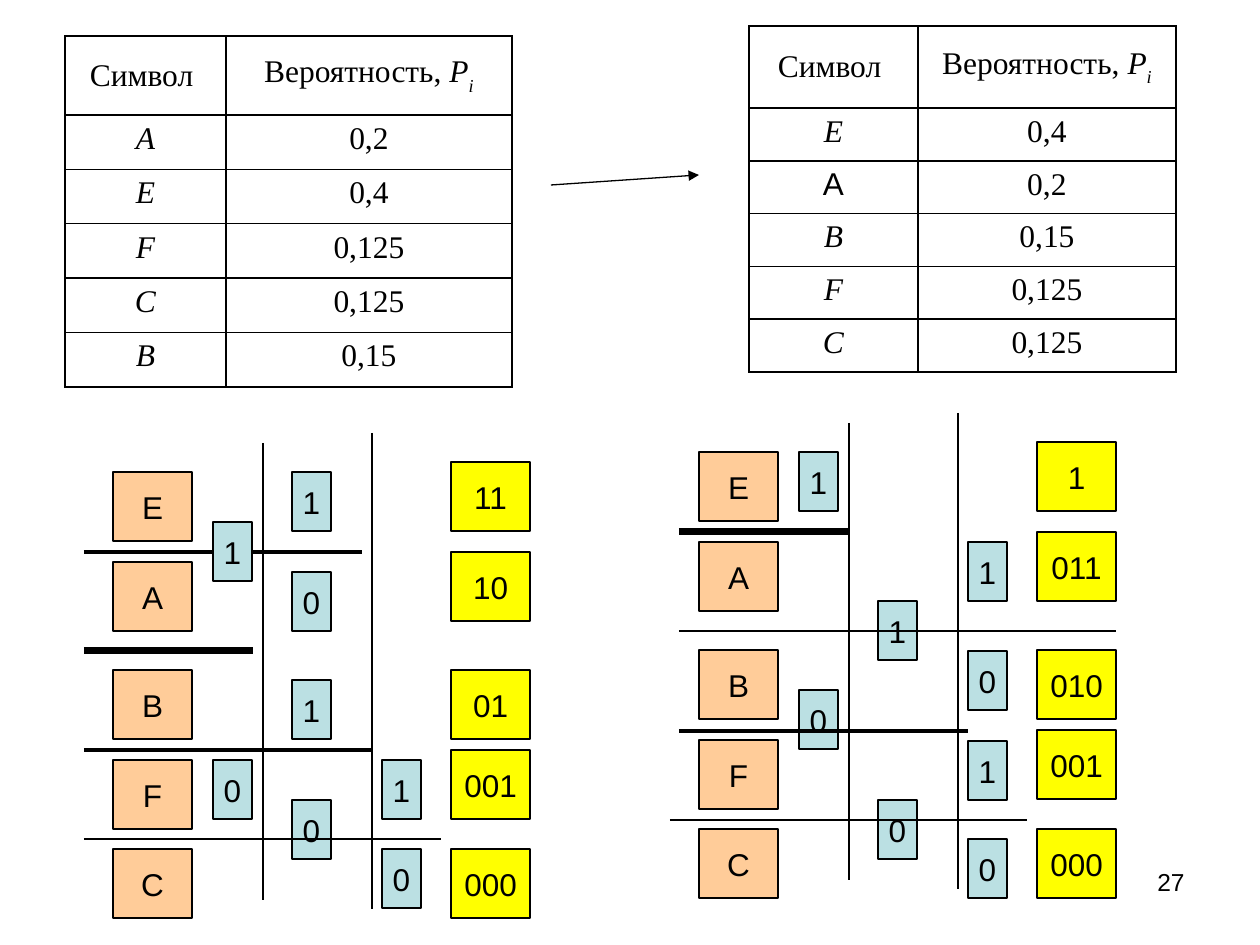
import lxml.etree
import pptx
import pptx.dml.color
import pptx.enum.shapes
import pptx.enum.text
import pptx.oxml.ns
import pptx.util

PX = 914400 / 126
BLACK, ORANGE, BLUE, YELLOW = "000000", "FFCC99", "BBE0E3", "FFFF00"
SERIF, SANS = "Times New Roman", "Arial"
CENTER = pptx.enum.text.PP_ALIGN.CENTER
MIDDLE = pptx.enum.text.MSO_ANCHOR.MIDDLE
SYMBOL_TOPS = (39, 129, 237, 327, 416)
CODE_TOPS = (29, 119, 237, 317, 416)
BIT_LEFTS = (129, 208, 298)


def px(length):
    """Turn pixels into EMU."""
    return pptx.util.Emu(round(length * PX))


def color(hex_value):
    """Turn a hex string into a colour."""
    return pptx.dml.color.RGBColor.from_string(hex_value)


def add_element(parent, tag, **attributes):
    """Append a DrawingML element to a parent."""
    name = pptx.oxml.ns.qn("a:" + tag)
    return lxml.etree.SubElement(parent, name, attributes)


def format_run(run, size=18, font=SANS, italic=False):
    """Set the font of a run."""
    run.font.size = pptx.util.Pt(size)
    run.font.name = font
    run.font.italic = italic
    run.font.color.rgb = color(BLACK)


def add_line(slide, start, end, width=0.75, arrow=False):
    """Draw a black straight line, with an arrowhead if asked."""
    kind = pptx.enum.shapes.MSO_CONNECTOR.STRAIGHT
    line = slide.shapes.add_connector(kind, *map(px, start + end))
    line.line.color.rgb = color(BLACK)
    line.line.width = pptx.util.Pt(width)
    if arrow:
        add_element(line.line._get_or_add_ln(), "tailEnd", type="triangle")
    add_element(line._element.spPr, "effectLst")


def add_box(slide, left, top, width, height, text, fill):
    """Draw an outlined rectangle with centred text."""
    kind = pptx.enum.shapes.MSO_SHAPE.RECTANGLE
    shape = slide.shapes.add_shape(kind, *map(px, (left, top, width, height)))
    shape.shadow.inherit = False
    shape.fill.solid()
    shape.fill.fore_color.rgb = color(fill)
    shape.line.color.rgb = color(BLACK)
    shape.line.width = pptx.util.Pt(0.75)
    frame = shape.text_frame
    frame.word_wrap = False
    frame.vertical_anchor = MIDDLE
    frame.text = text
    paragraph = frame.paragraphs[0]
    paragraph.alignment = CENTER
    format_run(paragraph.runs[0])


def fill_cell(cell, parts, header):
    """Write (text, font, italic) parts into a clear cell with black borders."""
    paragraph = cell.text_frame.paragraphs[0]
    paragraph.alignment = CENTER
    for text, font, italic in parts:
        run = paragraph.add_run()
        run.text = text
        format_run(run, font=font, italic=italic)
    if header:
        cell.vertical_anchor = MIDDLE
    properties = cell._tc.get_or_add_tcPr()
    for side in ("lnL", "lnR", "lnT", "lnB"):
        border = add_element(properties, side, w="12700")
        add_element(add_element(border, "solidFill"), "srgbClr", val=BLACK)
    cell.fill.background()


def add_probability_table(slide, left, top, widths, header_height, height, rows, upright=()):
    """Place a table of symbols and their probabilities."""
    count = len(rows) + 1
    frame = slide.shapes.add_table(count, 2, *map(px, (left, top, sum(widths), height)))
    table = frame.table
    table.first_row = table.horz_banding = False
    for column, width in zip(table.columns, widths):
        column.width = px(width)
    for index, row in enumerate(table.rows):
        row.height = px((height - header_height) / len(rows) if index else header_height)
    title = [("Вероятность, ", SERIF, False), ("P", SERIF, True), ("i", SERIF, True)]
    fill_cell(table.cell(0, 0), [("Символ ", SERIF, False)], True)
    fill_cell(table.cell(0, 1), title, True)
    subscript = table.cell(0, 1).text_frame.paragraphs[0].runs[-1]
    subscript._r.get_or_add_rPr().set("baseline", "-30000")
    for index, (symbol, probability) in enumerate(rows, 1):
        plain = symbol in upright
        fill_cell(table.cell(index, 0), [(symbol, SANS if plain else SERIF, not plain)], False)
        fill_cell(table.cell(index, 1), [(probability, SERIF, False)], False)


def add_code_tree(slide, left, top, codes, bits, back_rules, front_rules):
    """Place a splitting diagram: symbols, bits by column, rules and codes."""
    def add_rules(rules):
        """Draw horizontal rules given as start, end, height and width."""
        for start, end, y, width in rules:
            add_line(slide, (left + start, top + y), (left + end, top + y), width)

    for symbol, y in zip("EABFC", SYMBOL_TOPS):
        add_box(slide, left + 29, top + y, 79, 69, symbol, ORANGE)
    add_rules(back_rules)
    for x, column in zip(BIT_LEFTS, bits):
        for bit, y in column:
            add_box(slide, left + x, top + y, 39, 59, bit, BLUE)
    add_rules(front_rules)
    for code, y in zip(codes, CODE_TOPS):
        add_box(slide, left + 367, top + y, 79, 69, code, YELLOW)
    for x, start, end in ((179, 10, 467), (288, 0, 476)):
        add_line(slide, (left + x, top + start), (left + x, top + end))


def add_slide_number(slide, left, top, width, height, number):
    """Place the right-aligned slide number."""
    box = slide.shapes.add_textbox(*map(px, (left, top, width, height)))
    box.text_frame.word_wrap = True
    box.text_frame.text = number
    paragraph = box.text_frame.paragraphs[0]
    paragraph.alignment = pptx.enum.text.PP_ALIGN.RIGHT
    format_run(paragraph.runs[0], size=14)


def main():
    """Build the slide and save it."""
    presentation = pptx.Presentation()
    presentation.slide_width, presentation.slide_height = px(1260), px(945)
    slide = presentation.slides.add_slide(presentation.slide_layouts[6])
    probabilities = {"A": "0,2", "E": "0,4", "F": "0,125", "C": "0,125", "B": "0,15"}
    ordered = [(symbol, probabilities[symbol]) for symbol in "EABFC"]
    add_probability_table(slide, 65, 36, (161, 286), 79, 351, list(probabilities.items()))
    add_probability_table(slide, 749, 26, (169, 258), 82, 346, ordered, upright="A")
    add_line(slide, (551, 185), (699, 175), arrow=True)
    add_code_tree(
        slide, 84, 433, ("11", "10", "01", "001", "000"),
        bits=(
            (("1", 89), ("0", 327)),
            (("1", 39), ("0", 139), ("1", 247), ("0", 367)),
            (("1", 327), ("0", 416)),
        ),
        back_rules=((0, 278, 119, 2), (0, 169, 218, 4)),
        front_rules=((0, 288, 317, 2), (0, 357, 406, 0.75)),
    )
    add_code_tree(
        slide, 670, 413, ("1", "011", "010", "001", "000"),
        bits=(
            (("1", 39), ("0", 277)),
            (("1", 188), ("0", 387)),
            (("1", 129), ("0", 238), ("1", 328), ("0", 426)),
        ),
        back_rules=((9, 178, 119, 4),),
        front_rules=((9, 446, 218, 0.75), (9, 298, 318, 2), (0, 357, 407, 0.75)),
    )
    add_slide_number(slide, 903, 861, 294, 66, "27")
    presentation.save("out.pptx")


if __name__ == "__main__":
    main()
